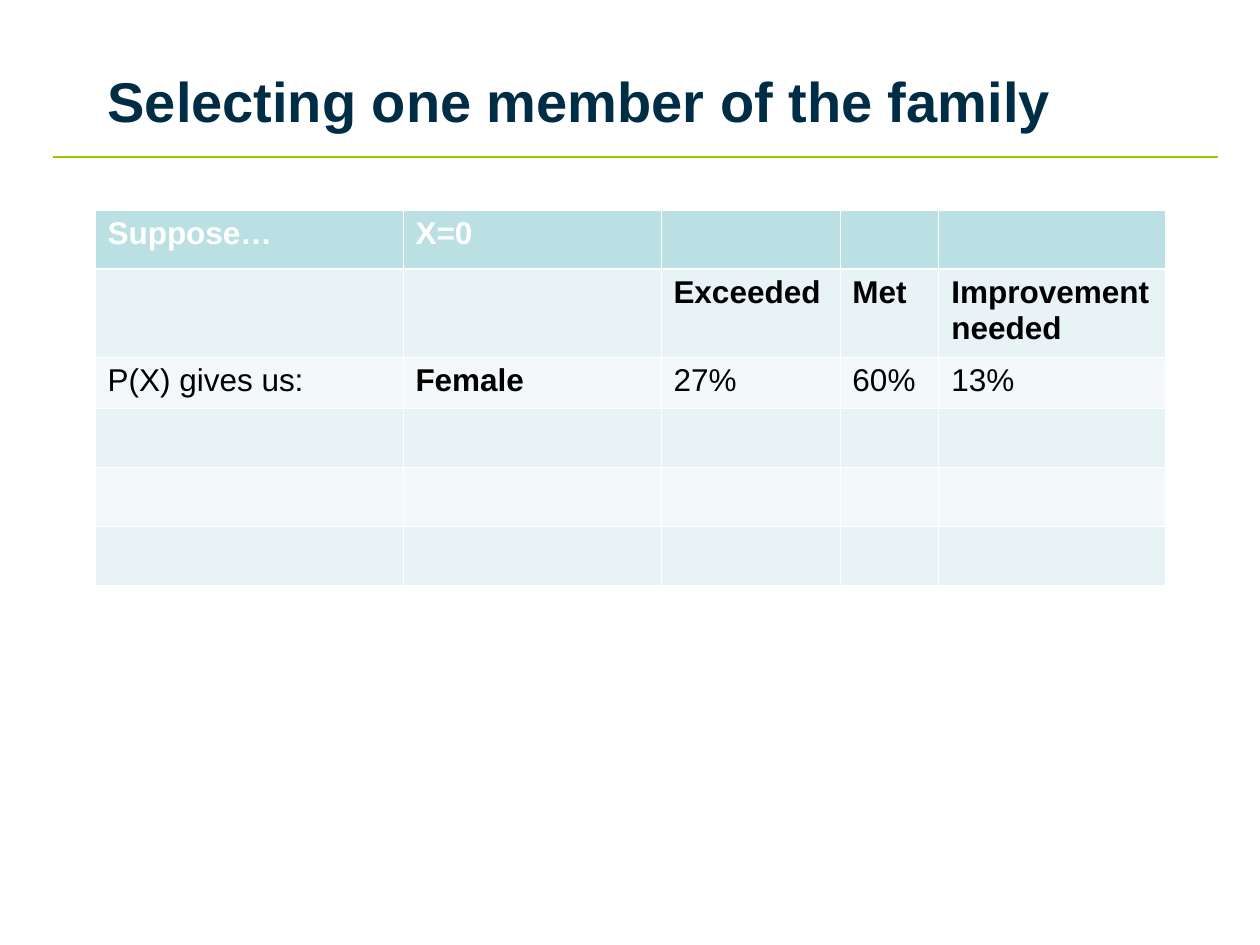
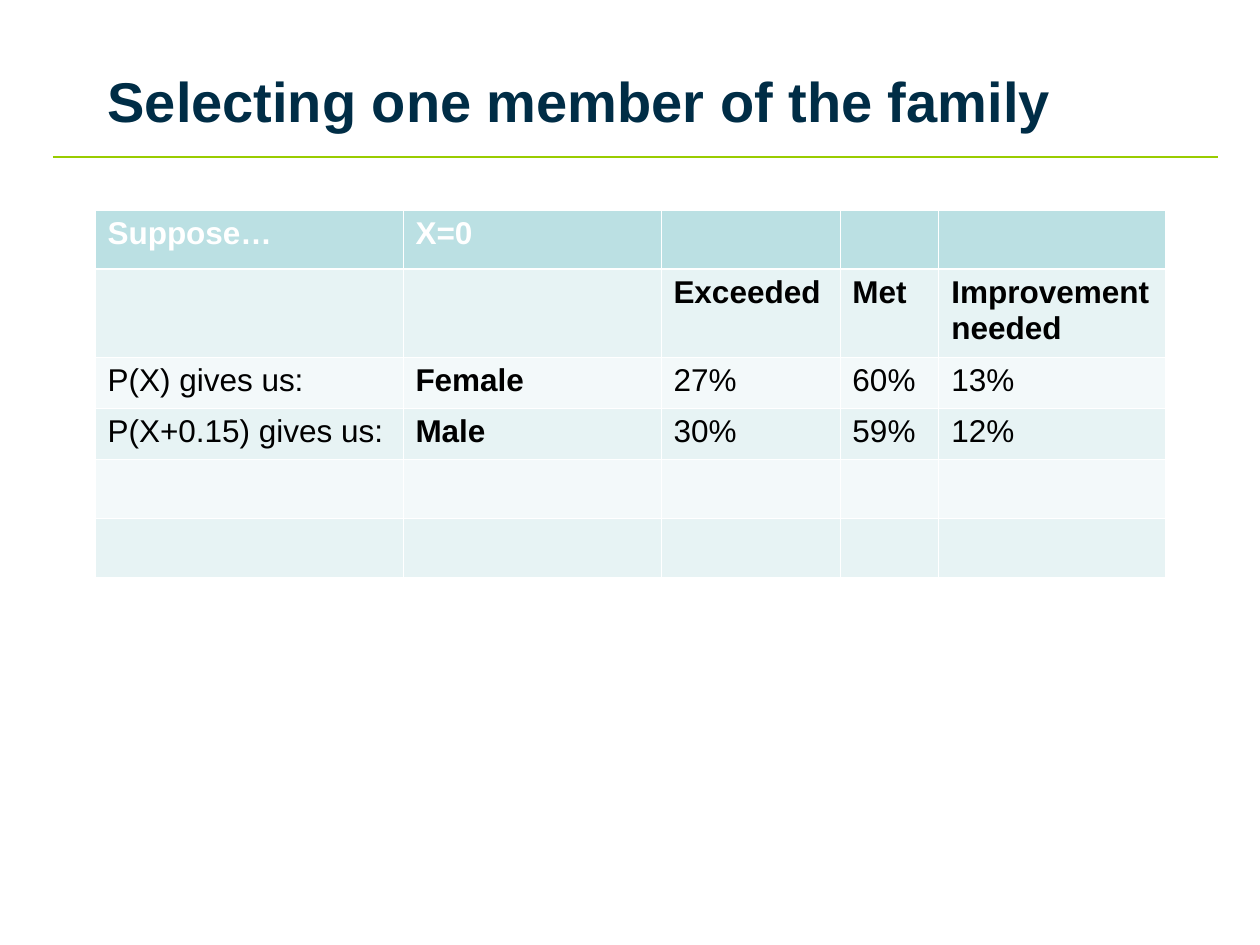
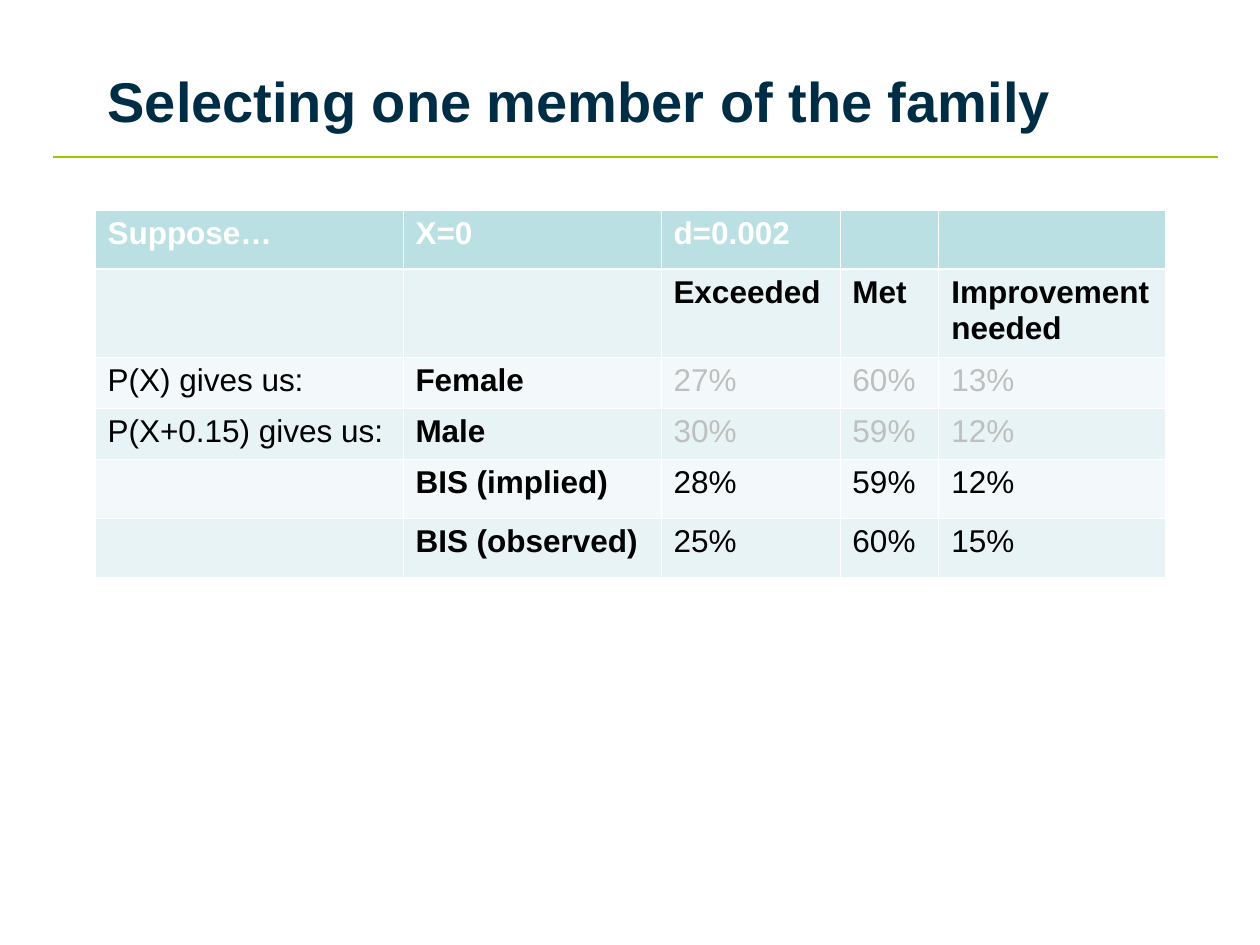
from lxml.etree import SubElement
from pptx import Presentation
from pptx.dml.color import RGBColor
from pptx.enum.shapes import MSO_CONNECTOR
from pptx.enum.text import MSO_ANCHOR as Anchor, PP_ALIGN as Align
from pptx.oxml.ns import qn
from pptx.util import Emu, Pt

FONT = "Arial"
WHITE, BLACK, GREY = "FFFFFF", "000000", "BFBFBF"
NAVY, GREEN = "002D46", "99CC00"
HEADER_FILL, BAND_FILLS = "BBE0E3", ("E7F3F4", "F3F9FA")
THIN, THICK = 0.45, 1.47

TITLE = "Selecting one member of the family"
COLUMN_WIDTHS = (308, 258, 179, 99, 227)
LABEL_HEIGHT, FILLED_HEIGHT, SPARE_HEIGHT = 88, 51, 59

EMPTY = ("",) * 5
HEADER = ("Suppose…", "X=0", "", "", "")
HEADER_WITH_D = ("Suppose…", "X=0", "d=0.002", "", "")
LABELS = ("", "", "Exceeded", "Met", "Improvement needed")
FEMALE = ("P(X) gives us:", "Female", "27%", "60%", "13%")
MALE = ("P(X+0.15) gives us:", "Male", "30%", "59%", "12%")
IMPLIED = ("", "BIS (implied)", "28%", "59%", "12%")
OBSERVED = ("", "BIS (observed)", "25%", "60%", "15%")


def px(length):
    return Emu(round(length * 914400 / 126))


def color(code):
    return RGBColor.from_string(code)


def set_borders(cell, top, bottom):
    """Give a cell white borders; the side borders are always thin."""
    properties = cell._tc.get_or_add_tcPr()
    for side, width in (("L", THIN), ("R", THIN), ("T", top), ("B", bottom)):
        line = SubElement(properties, qn(f"a:ln{side}"), w=str(Pt(width)))
        fill = SubElement(line, qn("a:solidFill"))
        SubElement(fill, qn("a:srgbClr"), val=WHITE)


def row_height(index, values):
    if index == 1:
        return LABEL_HEIGHT
    return FILLED_HEIGHT if all(values) else SPARE_HEIGHT


class FamilyDeck:
    def __init__(self):
        self.deck = Presentation()
        self.deck.slide_width, self.deck.slide_height = px(1260), px(945)
        self.page = None

    def add_page(self, title):
        self.page = self.deck.slides.add_slide(self.deck.slide_layouts[5])
        self.add_rule()
        self.add_title(title)

    def add_span(self, para, text, size, code, bold):
        span = para.add_run()
        span.text = text
        span.font.name, span.font.size, span.font.bold = FONT, Pt(size), bold
        span.font.color.rgb = color(code)

    def add_rule(self):
        rule = self.page.shapes.add_connector(
            MSO_CONNECTOR.STRAIGHT, px(53), px(157), px(1218), px(157))
        rule.line.color.rgb = color(GREEN)
        rule.line.width = Pt(0.75)
        SubElement(rule._element.spPr, qn("a:effectLst"))

    def add_title(self, text):
        box = self.page.shapes.title
        box.left, box.top, box.width, box.height = map(px, (95, 21, 1071, 158))
        box.text_frame.vertical_anchor = Anchor.MIDDLE
        para = box.text_frame.paragraphs[0]
        para.alignment = Align.LEFT
        self.add_span(para, text, 32, NAVY, True)

    def add_table(self, rows, muted_rows):
        heights = [row_height(index, values) for index, values in enumerate(rows)]
        table = self.page.shapes.add_table(
            len(rows), len(COLUMN_WIDTHS), px(95), px(210),
            px(sum(COLUMN_WIDTHS)), px(sum(heights))).table
        for column, width in zip(table.columns, COLUMN_WIDTHS):
            column.width = px(width)
        for row, height in zip(table.rows, heights):
            row.height = px(height)
        for r, values in enumerate(rows):
            for c, text in enumerate(values):
                self.fill_cell(table.cell(r, c), text, r, c, r in muted_rows)

    def fill_cell(self, cell, text, r, c, muted):
        set_borders(cell, THICK if r == 1 else THIN, THICK if r == 0 else THIN)
        cell.fill.solid()
        cell.fill.fore_color.rgb = color(HEADER_FILL if r == 0 else BAND_FILLS[(r - 1) % 2])
        if text:
            code = WHITE if r == 0 else GREY if muted and c > 1 else BLACK
            self.add_span(cell.text_frame.paragraphs[0], text, 18, code, r < 2 or c == 1)


def main():
    family = FamilyDeck()
    steps = (
        ((HEADER, LABELS, FEMALE, EMPTY, EMPTY, EMPTY), ()),
        ((HEADER, LABELS, FEMALE, MALE, EMPTY, EMPTY), ()),
        ((HEADER_WITH_D, LABELS, FEMALE, MALE, IMPLIED, OBSERVED), (2, 3)),
    )
    for rows, muted_rows in steps:
        family.add_page(TITLE)
        family.add_table(rows, muted_rows)
    family.deck.save("out.pptx")


if __name__ == "__main__":
    main()
